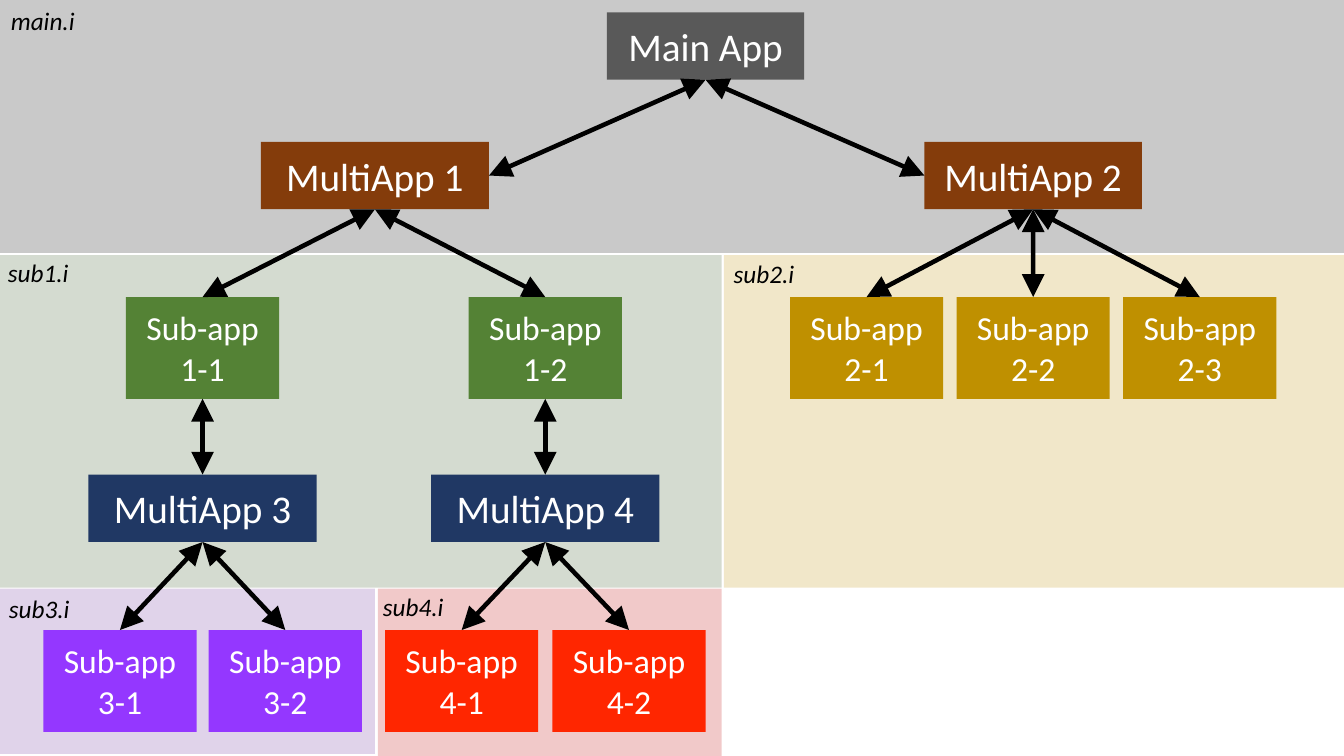
from pptx import Presentation, util as u
from pptx.dml.color import RGBColor
from pptx.enum import shapes, text
from pptx.oxml import parse_xml
from pptx.oxml.ns import nsdecls, qn

BLACK = RGBColor(0x00, 0x00, 0x00)
WHITE = RGBColor(0xFF, 0xFF, 0xFF)
GRAY = RGBColor(0x59, 0x59, 0x59)
BROWN = RGBColor(0x84, 0x3C, 0x0B)
GREEN = RGBColor(0x54, 0x82, 0x35)
DARK_GREEN = RGBColor(0x38, 0x57, 0x23)
GOLD = RGBColor(0xBF, 0x90, 0x00)
NAVY = RGBColor(0x20, 0x38, 0x64)
VIOLET = RGBColor(0x94, 0x37, 0xFF)
PURPLE = RGBColor(0x70, 0x30, 0xA0)
RED = RGBColor(0xFF, 0x26, 0x00)
DARK_RED = RGBColor(0xC0, 0x00, 0x00)

ZONES = [
    ("sub4.i", DARK_RED, (270, 420.5, 245.5, 119.5), (266.4, 419)),
    ("sub1.i", DARK_GREEN, (-0.7, 182.2, 516.2, 237.6), (-1.4, 180)),
    ("main.i", BLACK, (0, 0, 960, 180.7), (0.7, 0)),
    ("sub2.i", GOLD, (517, 182.2, 443, 237.6), (517, 180.7)),
    ("sub3.i", PURPLE, (-2.9, 420.5, 270.7, 118.1), (-0.7, 420.5)),
]
ROWS = [
    (8.8, 48.2, 28, [("Main App", 504, 141, GRAY)]),
    (101.3, 48.2, 28, [("MultiApp 1", 267.8, 163, BROWN),
                       ("MultiApp 2", 738, 155.4, BROWN)]),
    (212.2, 72.7, 24, [("Sub-app\n1-1", 144.7, 109.4, GREEN),
                       ("Sub-app\n1-2", 389.5, 109.4, GREEN),
                       ("Sub-app\n2-1", 619, 109.4, GOLD),
                       ("Sub-app\n2-2", 738, 109.4, GOLD),
                       ("Sub-app\n2-3", 857, 109.4, GOLD)]),
    (339, 48.2, 28, [("MultiApp 3", 144.7, 163, NAVY),
                     ("MultiApp 4", 389.5, 163, NAVY)]),
    (450, 72.7, 24, [("Sub-app\n3-1", 85.7, 109.4, VIOLET),
                     ("Sub-app\n3-2", 203.8, 109.4, VIOLET),
                     ("Sub-app\n4-1", 329.8, 109.4, RED),
                     ("Sub-app\n4-2", 449.3, 109.4, RED)]),
]
TOP, LEFT, BOTTOM, RIGHT = range(4)
LINKS = [
    ("Main App", ["MultiApp 1"], RIGHT),
    ("Main App", ["MultiApp 2"], LEFT),
    ("MultiApp 1", ["Sub-app\n1-1", "Sub-app\n1-2"], TOP),
    ("MultiApp 2", ["Sub-app\n2-1", "Sub-app\n2-2", "Sub-app\n2-3"], TOP),
    ("Sub-app\n1-1", ["MultiApp 3"], TOP),
    ("Sub-app\n1-2", ["MultiApp 4"], TOP),
    ("MultiApp 3", ["Sub-app\n3-1", "Sub-app\n3-2"], TOP),
    ("MultiApp 4", ["Sub-app\n4-1", "Sub-app\n4-2"], TOP),
]
FRAME = {"word_wrap": False, "auto_size": text.MSO_AUTO_SIZE.NONE,
         "vertical_anchor": text.MSO_ANCHOR.TOP}
BOX_FRAME = {**FRAME, "margin_left": u.Pt(7.2), "margin_right": u.Pt(7.2),
             "margin_top": u.Pt(7.2), "margin_bottom": u.Pt(7.2)}


def apply(target, values):
    for name, value in values.items():
        setattr(target, name, value)


def write(shape, words, frame, align, color, **font):
    apply(shape.text_frame, frame)
    shape.text_frame.text = words
    for para in shape.text_frame.paragraphs:
        para.alignment = align
        for span in para.runs:
            apply(span.font, {"name": "Calibri", **font})
            span.font.color.rgb = color


def add_rect(place, color):
    rect = page.shapes.add_shape(shapes.MSO_SHAPE.RECTANGLE, *map(u.Pt, place))
    rect.shadow.inherit = False
    rect.fill.solid()
    rect.fill.fore_color.rgb = color
    rect.line.fill.background()
    return rect


def add_arrow(parent, child, side):
    arrow = page.shapes.add_connector(shapes.MSO_CONNECTOR.STRAIGHT, 0, 0, 0, 0)
    arrow.begin_connect(parent, BOTTOM)
    arrow.end_connect(child, side)
    arrow.line.color.rgb = BLACK
    arrow.line.width = u.Pt(3.25)
    for end in ("headEnd", "tailEnd"):
        arrow.line._get_or_add_ln().append(parse_xml(
            f'<a:{end} {nsdecls("a")} type="triangle" w="lg" len="lg"/>'))
    arrow._element.spPr.append(parse_xml(f'<a:effectLst {nsdecls("a")}/>'))


deck = Presentation()
deck.slide_width, deck.slide_height = u.Pt(960), u.Pt(540)
page = deck.slides.add_slide(deck.slide_layouts[6])

for name, color, place, corner in ZONES:
    zone = add_rect(place, color)
    tint = zone._element.spPr.find(".//" + qn("a:srgbClr"))
    tint.append(parse_xml(f'<a:alpha {nsdecls("a")} val="21000"/>'))

boxes = {}
for top, height, size, row in ROWS:
    for words, center, width, color in row:
        box = add_rect((center - width / 2, top, width, height), color)
        write(box, words, BOX_FRAME, text.PP_ALIGN.CENTER, WHITE, size=u.Pt(size))
        boxes[words] = box

for parent, children, side in LINKS:
    for child in children:
        add_arrow(boxes[parent], boxes[child], side)

for name, color, place, corner in ZONES:
    label = page.shapes.add_textbox(*map(u.Pt, (*corner, 66, 29)))
    write(label, name, FRAME, text.PP_ALIGN.LEFT, BLACK, size=u.Pt(18), italic=True)

deck.save("out.pptx")
